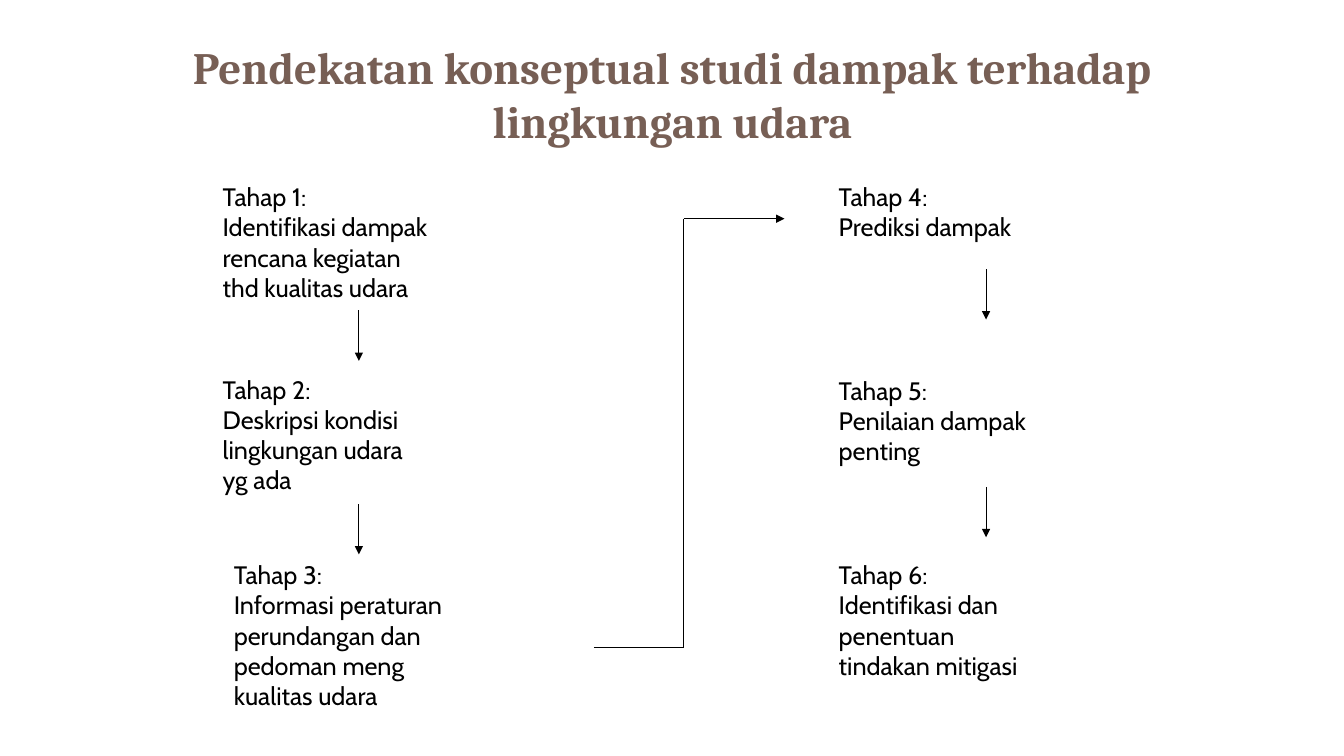
from dataclasses import dataclass

from lxml import etree
from pptx import Presentation
from pptx.dml.color import RGBColor
from pptx.enum import shapes, text
from pptx.oxml import ns
from pptx.util import Emu, Pt

PX = 9144  # 100 px to the inch
BLACK = "000000"
BROWN = "775F55"


@dataclass
class Stage:
    left: int
    top: int
    width: int
    height: int
    lines: list[str]


@dataclass
class Line:
    start: tuple[int, int]
    end: tuple[int, int]
    arrow: bool = True


def px(length: int) -> Emu:
    return Emu(length * PX)


def color(value: str) -> RGBColor:
    return RGBColor.from_string(value)


def write(para, content: str, *, font: str, size: int, fill: str, bold: bool = False) -> None:
    span = para.add_run()
    span.text = content
    span.font.name = font
    span.font.size = Pt(size)
    span.font.bold = bold
    span.font.color.rgb = color(fill)


def draw_title(page, content: str) -> None:
    box = page.shapes.title
    box.left, box.top, box.width, box.height = px(67), px(30), px(1200), px(125)
    frame = box.text_frame
    frame.auto_size = text.MSO_AUTO_SIZE.NONE
    frame.vertical_anchor = text.MSO_ANCHOR.MIDDLE
    para = frame.paragraphs[0]
    para.alignment = text.PP_ALIGN.CENTER
    write(para, content, font="Cambria", size=32, fill=BROWN, bold=True)


def draw_stage(page, number: int, stage: Stage) -> None:
    box = page.shapes.add_textbox(px(stage.left), px(stage.top), px(stage.width), px(stage.height))
    frame = box.text_frame
    frame.word_wrap = False
    frame.auto_size = text.MSO_AUTO_SIZE.SHAPE_TO_FIT_TEXT
    for index, content in enumerate([f"Tahap {number}:", *stage.lines]):
        para = frame.add_paragraph() if index else frame.paragraphs[0]
        write(para, content, font="Cabin", size=18, fill=BLACK)


def draw_line(page, line: Line) -> None:
    connector = page.shapes.add_connector(
        shapes.MSO_CONNECTOR.STRAIGHT, *map(px, line.start), *map(px, line.end))
    connector.line.color.rgb = color(BLACK)
    connector.line.width = Pt(0.75)
    properties = connector.element.spPr
    if line.arrow:
        outline = properties.find(ns.qn("a:ln"))
        etree.SubElement(outline, ns.qn("a:tailEnd"), type="triangle")
    etree.SubElement(properties, ns.qn("a:effectLst"))


STAGES = [
    Stage(211, 175, 238, 131, ["Identifikasi dampak", "rencana kegiatan", "thd kualitas udara"]),
    Stage(211, 366, 221, 131, ["Deskripsi kondisi", "lingkungan udara", "yg ada"]),
    Stage(222, 550, 241, 162,
          ["Informasi peraturan", "perundangan dan", "pedoman meng", "kualitas udara"]),
    Stage(822, 175, 202, 71, ["Prediksi dampak"]),
    Stage(822, 367, 215, 101, ["Penilaian dampak", "penting"]),
    Stage(822, 550, 209, 131, ["Identifikasi dan", "penentuan", "tindakan mitigasi"]),
]

# Short arrows down each column, then the route from stage 3 to stage 4
DOWN_ARROWS = [(356, 308), (356, 500), (978, 267), (978, 483)]
LINES = [Line((x, y), (x, y + 50)) for x, y in DOWN_ARROWS] + [
    Line((589, 642), (678, 642), arrow=False),
    Line((678, 642), (678, 217), arrow=False),
    Line((678, 217), (778, 217)),
]


def main() -> None:
    deck = Presentation()
    deck.slide_width, deck.slide_height = px(1333), px(750)
    page = deck.slides.add_slide(deck.slide_layouts.get_by_name("Title Only"))

    draw_title(page, "Pendekatan konseptual studi dampak terhadap lingkungan udara")
    for number, stage in enumerate(STAGES, start=1):
        draw_stage(page, number, stage)
    for line in LINES:
        draw_line(page, line)

    deck.save("out.pptx")


if __name__ == "__main__":
    main()
